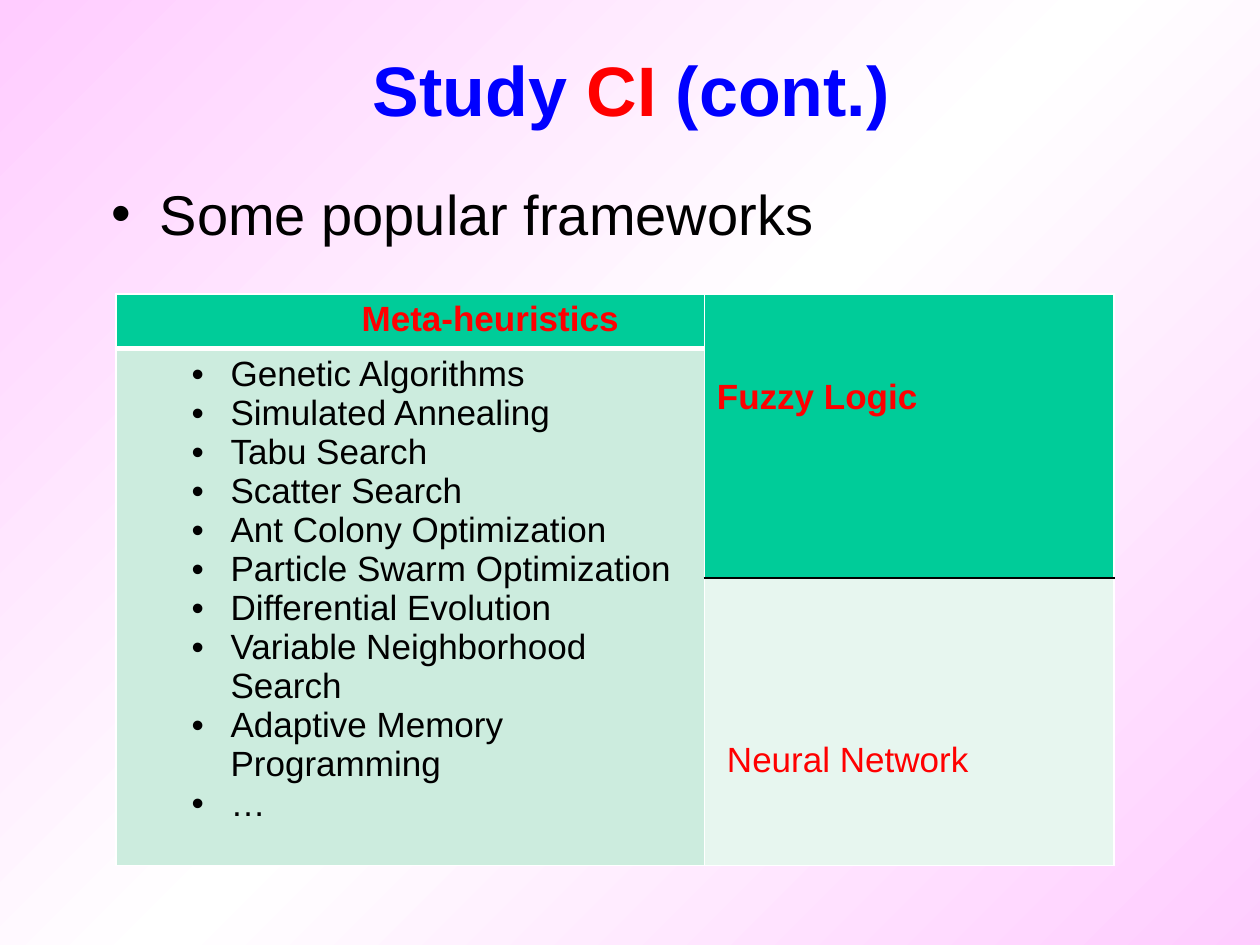
from copy import deepcopy
from dataclasses import dataclass

from lxml import etree
from pptx import Presentation
from pptx import util as u
from pptx.dml.color import RGBColor
from pptx.enum import text
from pptx.oxml.ns import qn

WIDTH, HEIGHT = 10, 7.5
FONT = "Arial"
COLORS = {
    "pink": "FFCCFF", "white": "FFFFFF", "black": "000000", "blue": "0000FF",
    "red": "FF0000", "green": "00CC99", "mint": "CCECDE", "pale": "E7F6EF",
}
COLUMNS = (4.67, 3.25)
ROWS = (0.43, 1.82, 2.08)
METHODS = (
    "Genetic Algorithms", "Simulated Annealing", "Tabu Search", "Scatter Search",
    "Ant Colony Optimization", "Particle Swarm Optimization",
    "Differential Evolution", "Variable Neighborhood Search",
    "Adaptive Memory Programming", "…",
)


@dataclass
class Run:
    words: str
    color: str = "black"
    size: float = 20
    bold: bool = False


@dataclass
class Block:
    """A table cell, or a merged run of cells, covering rows first to last."""
    column: int
    first: int
    last: int
    fill: str
    lines: list[Run]
    bulleted: bool = False
    left: float = 0.1
    top: float = 0.05
    upper: tuple[str, float] = ("white", 1)
    lower: tuple[str, float] = ("white", 1)


BLOCKS = [
    Block(0, 0, 0, "green", [Run("Meta-heuristics", "red", bold=True)],
          left=1.95, lower=("white", 3)),
    Block(1, 0, 1, "green", [Run("Fuzzy Logic", "red", bold=True)],
          top=0.67, lower=("black", 1)),
    Block(0, 1, 2, "mint", [Run(name) for name in METHODS], bulleted=True,
          upper=("white", 3)),
    Block(1, 2, 2, "pale", [Run("Neural Network", "red")],
          left=0.18, top=1.29, upper=("black", 1)),
]


def rgb(name: str) -> RGBColor:
    return RGBColor.from_string(COLORS[name])


def add_run(paragraph, run: Run) -> None:
    item = paragraph.add_run()
    item.text = run.words
    item.font.name = FONT
    item.font.size = u.Pt(run.size)
    item.font.bold = run.bold
    item.font.color.rgb = rgb(run.color)


def add_bullet(paragraph, indent: float, hanging: float) -> None:
    properties = paragraph._p.get_or_add_pPr()
    properties.set("marL", str(u.Inches(indent)))
    properties.set("indent", str(-u.Inches(hanging)))
    etree.SubElement(properties, qn("a:buFont"), typeface=FONT)
    etree.SubElement(properties, qn("a:buChar"), char="•")


def add_text_frame(slide, left: float, top: float, width: float, height: float):
    """Add a text box placed by shares of the slide's size."""
    box = slide.shapes.add_textbox(
        u.Inches(left * WIDTH), u.Inches(top * HEIGHT),
        u.Inches(width * WIDTH), u.Inches(height * HEIGHT))
    box.text_frame.word_wrap = True
    return box.text_frame


def set_borders(cell, upper: tuple[str, float], lower: tuple[str, float]) -> None:
    side = ("white", 1)
    borders = {"lnL": side, "lnR": side, "lnT": upper, "lnB": lower}
    properties = cell._tc.get_or_add_tcPr()
    for position, (tag, (color, width)) in enumerate(borders.items()):
        line = etree.Element(qn(f"a:{tag}"), w=str(u.Pt(width)))
        fill = etree.SubElement(line, qn("a:solidFill"))
        etree.SubElement(fill, qn("a:srgbClr"), val=COLORS[color])
        properties.insert(position, line)


def draw_block(table, block: Block) -> None:
    cell = table.cell(block.first, block.column)
    if block.last > block.first:
        cell.merge(table.cell(block.last, block.column))
    for row in range(block.first, block.last + 1):
        part = table.cell(row, block.column)
        part.fill.solid()
        part.fill.fore_color.rgb = rgb(block.fill)
        set_borders(part, block.upper, block.lower)
    cell.margin_left, cell.margin_top = u.Inches(block.left), u.Inches(block.top)
    for index, run in enumerate(block.lines):
        frame = cell.text_frame
        paragraph = frame.add_paragraph() if index else frame.paragraphs[0]
        if block.bulleted:
            add_bullet(paragraph, 0.81, 0.31)
        add_run(paragraph, run)


def paint_background(slide) -> None:
    fill = slide.background.fill
    fill.gradient()
    fill.gradient_angle = 315
    stop_list = slide._element.find(f".//{qn('a:gsLst')}")
    stop_list.append(deepcopy(stop_list[-1]))
    for stop, color, position in zip(
            fill.gradient_stops, ("pink", "white", "pink"), (0, 0.5, 1)):
        stop.color.rgb = rgb(color)
        stop.position = position


def draw_table(slide) -> None:
    table = slide.shapes.add_table(
        len(ROWS), len(COLUMNS), u.Inches(0.092 * WIDTH), u.Inches(0.311 * HEIGHT),
        u.Inches(sum(COLUMNS)), u.Inches(sum(ROWS))).table
    table.first_row = table.horz_banding = False
    for column, width in zip(table.columns, COLUMNS):
        column.width = u.Inches(width)
    for row, height in zip(table.rows, ROWS):
        row.height = u.Inches(height)
    for block in BLOCKS:
        draw_block(table, block)


def main() -> None:
    presentation = Presentation()
    presentation.slide_width = u.Inches(WIDTH)
    presentation.slide_height = u.Inches(HEIGHT)
    slide = presentation.slides.add_slide(presentation.slide_layouts[6])
    paint_background(slide)

    title = add_text_frame(slide, 0.076, 0.044, 0.85, 0.1)
    title.vertical_anchor = text.MSO_ANCHOR.MIDDLE
    title.paragraphs[0].alignment = text.PP_ALIGN.CENTER
    for words, color in (("Study ", "blue"), ("CI", "red"), (" (cont.)", "blue")):
        add_run(title.paragraphs[0], Run(words, color, 40, True))

    body = add_text_frame(slide, 0.079, 0.178, 0.85, 0.71)
    body.margin_top = u.Inches(0.09)
    add_bullet(body.paragraphs[0], 0.38, 0.38)
    add_run(body.paragraphs[0], Run("Some popular frameworks", size=32))

    draw_table(slide)
    presentation.save("out.pptx")


if __name__ == "__main__":
    main()
